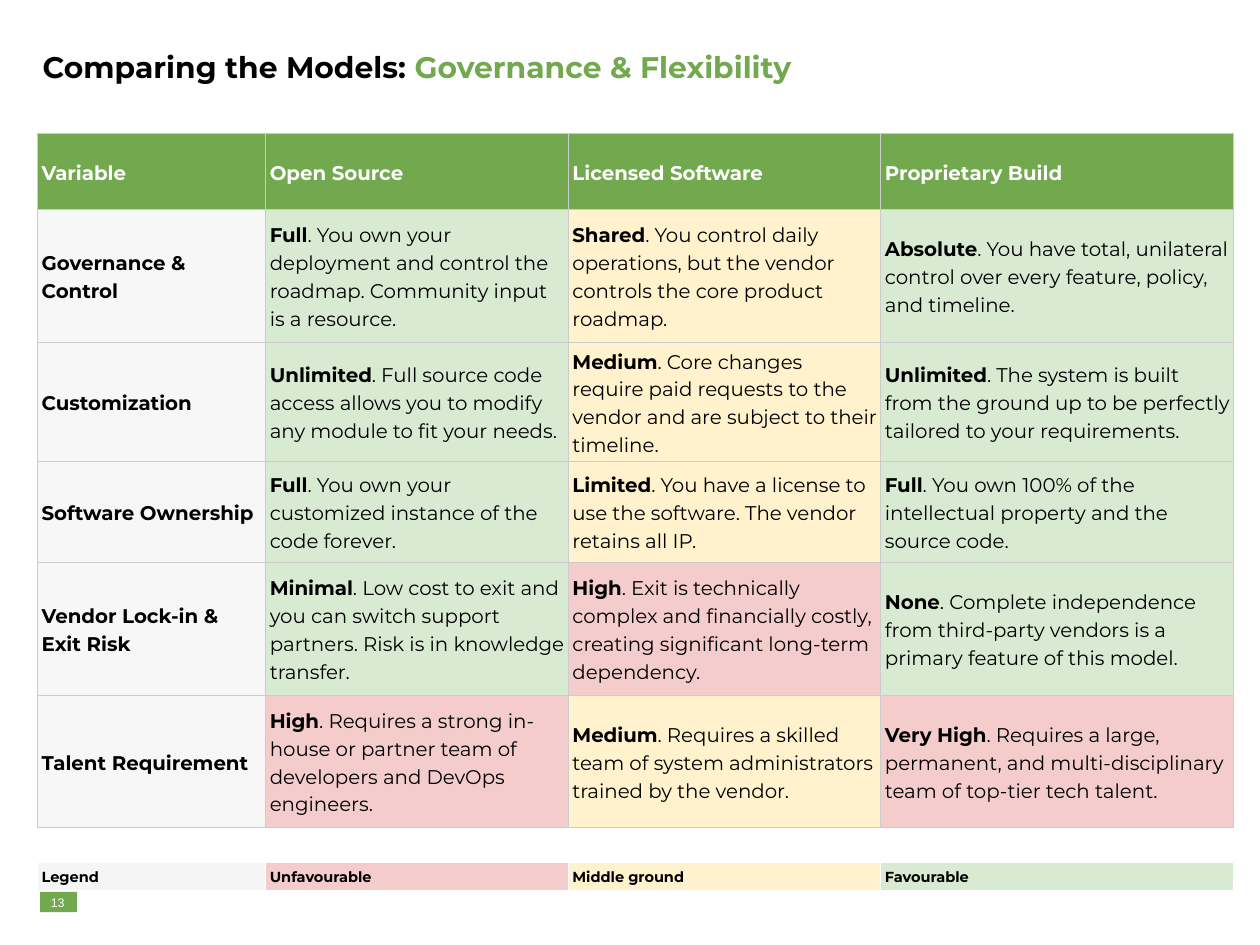
from lxml.etree import SubElement
from pptx import Presentation
from pptx.dml.color import RGBColor
from pptx.enum.shapes import MSO_SHAPE as Shape
from pptx.enum.text import MSO_ANCHOR as Anchor, PP_ALIGN as Align
from pptx.oxml.ns import qn
from pptx.util import Cm, Pt


def colour(value):
    return RGBColor.from_string(value)


def fill_cell(cell, parts, fill, border, size, text_colour, anchor=Anchor.MIDDLE):
    properties = cell._tc.get_or_add_tcPr()
    for side in ("lnL", "lnR", "lnT", "lnB"):
        line = SubElement(properties, qn(f"a:{side}"), w=str(Pt(0.62)))
        solid = SubElement(line, qn("a:solidFill"))
        SubElement(solid, qn("a:srgbClr"), val=border)
    cell.fill.solid()
    cell.fill.fore_color.rgb = colour(fill)
    cell.margin_left = cell.margin_right = Cm(0.08)
    cell.margin_top = cell.margin_bottom = Cm(0.08)
    cell.vertical_anchor = anchor
    para = cell.text_frame.paragraphs[0]
    para.line_spacing = 1.15
    para.font.name = "Montserrat"
    para.font.size = Pt(size)
    para.font.color.rgb = colour(text_colour)
    for index, part in enumerate(parts):
        span = para.add_run()
        span.text = part
        span.font.bold = index == 0


GREEN = "72A84E"
GOOD, MIDDLE, BAD = "D9EAD3", "FFF2CC", "F4CCCC"
LEFT = Cm(0.76)
COLUMN_WIDTHS = [Cm(4.6), Cm(6.1), Cm(6.3), Cm(7.11)]
ROW_HEIGHTS = [Cm(1.52), Cm(2.68), Cm(2.03), Cm(2.03), Cm(2.68), Cm(2.68)]
HEADINGS = ["Variable", "Open Source", "Licensed Software", "Proprietary Build"]
COMPARISON = [
    ("Governance & Control", [
        (GOOD, "Full", ". You own your deployment and control the roadmap. Community input is a resource."),
        (MIDDLE, "Shared", ". You control daily operations, but the vendor controls the core product roadmap."),
        (GOOD, "Absolute", ". You have total, unilateral control over every feature, policy, and timeline."),
    ]),
    ("Customization", [
        (GOOD, "Unlimited", ". Full source code access allows you to modify any module to fit your needs."),
        (MIDDLE, "Medium", ". Core changes require paid requests to the vendor and are subject to their timeline."),
        (GOOD, "Unlimited", ". The system is built from the ground up to be perfectly tailored to your requirements."),
    ]),
    ("Software Ownership", [
        (GOOD, "Full", ". You own your customized instance of the code forever."),
        (MIDDLE, "Limited", ". You have a license to use the software. The vendor retains all IP."),
        (GOOD, "Full", ". You own 100% of the intellectual property and the source code."),
    ]),
    ("Vendor Lock-in & Exit Risk", [
        (GOOD, "Minimal", ". Low cost to exit and you can switch support partners. Risk is in knowledge transfer."),
        (BAD, "High", ". Exit is technically complex and financially costly, creating significant long-term dependency."),
        (GOOD, "None", ". Complete independence from third-party vendors is a primary feature of this model."),
    ]),
    ("Talent Requirement", [
        (BAD, "High", ". Requires a strong in-house or partner team of developers and DevOps engineers."),
        (MIDDLE, "Medium", ". Requires a skilled team of system administrators trained by the vendor."),
        (BAD, "Very High", ". Requires a large, permanent, and multi-disciplinary team of top-tier tech talent."),
    ]),
]
LEGEND = [
    ("Legend", "F5F5F5", Anchor.MIDDLE),
    ("Unfavourable", BAD, Anchor.BOTTOM),
    ("Middle ground", MIDDLE, Anchor.BOTTOM),
    ("Favourable", GOOD, Anchor.BOTTOM),
]

deck = Presentation()
deck.slide_width, deck.slide_height = Cm(25.4), Cm(19.05)
page = deck.slides.add_slide(deck.slide_layouts[5])

title = page.shapes.title
title.left, title.top, title.width, title.height = LEFT, Cm(0.74), Cm(17.88), Cm(1.3)
frame = title.text_frame
frame.margin_left = frame.margin_right = Cm(0.1)
frame.margin_top = frame.margin_bottom = Cm(0.05)
frame.vertical_anchor = Anchor.MIDDLE
para = frame.paragraphs[0]
para.alignment = Align.LEFT
para.line_spacing = 0.9
para.font.name = "Montserrat"
para.font.size = Pt(17)
para.font.bold = True
for text, shade in (("Comparing the Models: ", "000000"), ("Governance & Flexibility", GREEN)):
    span = para.add_run()
    span.text = text
    span.font.color.rgb = colour(shade)

tables = []
for top, heights in ((Cm(2.7), ROW_HEIGHTS), (Cm(17.38), [Cm(0.41)])):
    table = page.shapes.add_table(
        len(heights), len(COLUMN_WIDTHS), LEFT, top, sum(COLUMN_WIDTHS), sum(heights)
    ).table
    table.first_row = table.horz_banding = False
    for column, width in zip(table.columns, COLUMN_WIDTHS):
        column.width = width
    for row, height in zip(table.rows, heights):
        row.height = height
    tables.append(table)
comparison, legend = tables

for column, heading in enumerate(HEADINGS):
    fill_cell(comparison.cell(0, column), [heading], GREEN, "CCCCCC", 11.3, "FFFFFF")
for row, (variable, ratings) in enumerate(COMPARISON, start=1):
    fill_cell(comparison.cell(row, 0), [variable], "F7F7F7", "CCCCCC", 11.3, "000000")
    for column, (fill, *parts) in enumerate(ratings, start=1):
        fill_cell(comparison.cell(row, column), parts, fill, "CCCCCC", 11.3, "000000")
for column, (label, fill, anchor) in enumerate(LEGEND):
    fill_cell(legend.cell(0, column), [label], fill, "FFFFFF", 8.3, "000000", anchor)

badge = page.shapes.add_shape(Shape.RECTANGLE, Cm(0.81), Cm(17.98), Cm(0.74), Cm(0.41))
badge.shadow.inherit = False
badge.fill.solid()
badge.fill.fore_color.rgb = colour(GREEN)
badge.line.fill.background()

number = page.shapes.add_textbox(Cm(0.91), Cm(18.01), Cm(0.51), Cm(0.36))
frame = number.text_frame
frame.word_wrap = True
frame.margin_left = frame.margin_right = frame.margin_top = frame.margin_bottom = 0
frame.vertical_anchor = Anchor.MIDDLE
para = frame.paragraphs[0]
para.text = "13"
para.alignment = Align.CENTER
para.font.name = "Arial"
para.font.size = Pt(7.1)
para.font.color.rgb = colour("FFFFFF")

deck.save("out.pptx")
